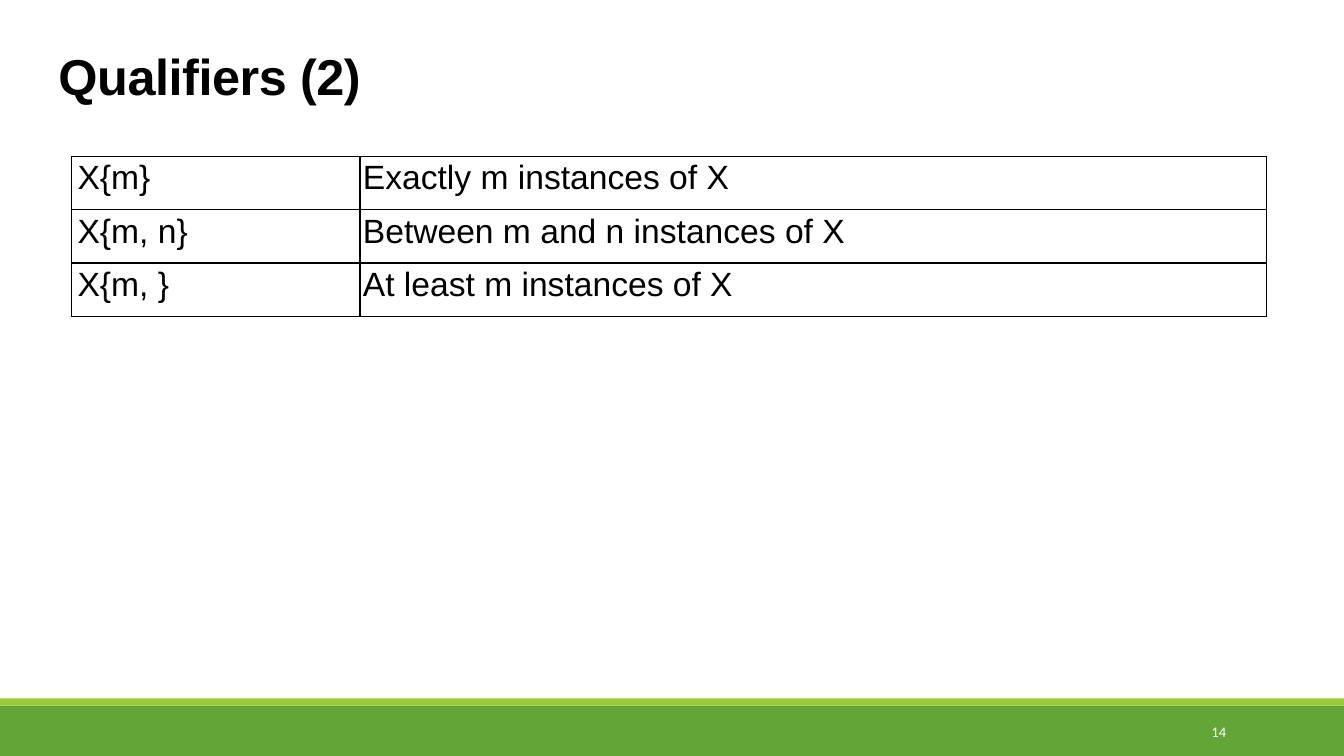
from lxml.etree import SubElement
from pptx import Presentation
from pptx.dml.color import RGBColor
from pptx.enum.shapes import MSO_SHAPE
from pptx.enum.text import MSO_ANCHOR, PP_ALIGN
from pptx.oxml.ns import qn
from pptx.util import Inches, Pt

# Content
TITLE = "Qualifiers (2)"
PAGE = "14"
QUALIFIERS = [
    ("X{m}", "Exactly m instances of X"),
    ("X{m, n}", "Between m and n instances of X"),
    ("X{m, }", "At least m instances of X"),
]

# Theme and layout
THEME = {
    "ink": "000000", "paper": "FFFFFF", "band": "63A537", "stripe": "99CB38",
    "font": "Arial", "page_font": "Calibri",
    "title": 36, "body": 24, "page": 10.5,
}
WIDTH, HEIGHT = 13.33, 7.5
BANDS = [("band", 7, 0.5), ("stripe", 6.93, 0.07)]
COLUMNS = [2.86, 8.99]
LEFT_INSETS = [0.06, 0.03]
ROW_HEIGHT = 0.53
CELL_INSET = 0.03


def color(name):
    return RGBColor.from_string(THEME[name])


def add_run(p, text, size, ink="ink", font="font", bold=False):
    r = p.add_run()
    r.text = text
    r.font.size = Pt(THEME[size])
    r.font.name = THEME[font]
    r.font.color.rgb = color(ink)
    r.font.bold = bold
    return r


def add_text_box(s, left, top, width, height):
    tf = s.shapes.add_textbox(*map(Inches, (left, top, width, height))).text_frame
    tf.word_wrap = True
    return tf


def border_cell(cell):
    tc_pr = cell._tc.get_or_add_tcPr()
    for i, side in enumerate(("lnL", "lnR", "lnT", "lnB")):
        ln = SubElement(tc_pr, qn(f"a:{side}"), w=str(Pt(1)))
        fill = SubElement(ln, qn("a:solidFill"))
        SubElement(fill, qn("a:srgbClr"), val=THEME["ink"])
        tc_pr.insert(i, ln)  # borders come before the cell fill


prs = Presentation()
prs.slide_width, prs.slide_height = Inches(WIDTH), Inches(HEIGHT)
s = prs.slides.add_slide(prs.slide_layouts[6])
s.background.fill.solid()
s.background.fill.fore_color.rgb = color("paper")

# Footer bands
for name, top, height in BANDS:
    sp = s.shapes.add_shape(MSO_SHAPE.RECTANGLE, 0, Inches(top), Inches(WIDTH), Inches(height))
    sp.shadow.inherit = False
    sp.fill.solid()
    sp.fill.fore_color.rgb = color(name)
    sp.line.fill.background()

# Title
tf = add_text_box(s, 0.58, 0.45, 12.3, 0.61)
tf.margin_left = tf.margin_right = tf.margin_top = tf.margin_bottom = 0
r = add_run(tf.paragraphs[0], TITLE, "title", bold=True)
r.font._element.set("spc", "-30")

# Page number
tf = add_text_box(s, 10.83, 7.06, 1.43, 0.4)
tf.vertical_anchor = MSO_ANCHOR.MIDDLE
tf.paragraphs[0].alignment = PP_ALIGN.RIGHT
add_run(tf.paragraphs[0], PAGE, "page", "paper", "page_font")

# Qualifier table
table = s.shapes.add_table(
    len(QUALIFIERS), len(COLUMNS), Inches(0.71), Inches(1.55),
    Inches(sum(COLUMNS)), Inches(ROW_HEIGHT * len(QUALIFIERS))).table
table.first_row = table.horz_banding = False
for column, width in zip(table.columns, COLUMNS):
    column.width = Inches(width)
for i, texts in enumerate(QUALIFIERS):
    table.rows[i].height = Inches(ROW_HEIGHT)
    for j, text in enumerate(texts):
        cell = table.cell(i, j)
        cell.margin_left = Inches(LEFT_INSETS[j])
        cell.margin_right = cell.margin_top = cell.margin_bottom = Inches(CELL_INSET)
        cell.fill.background()
        border_cell(cell)
        add_run(cell.text_frame.paragraphs[0], text, "body")

prs.save("out.pptx")
